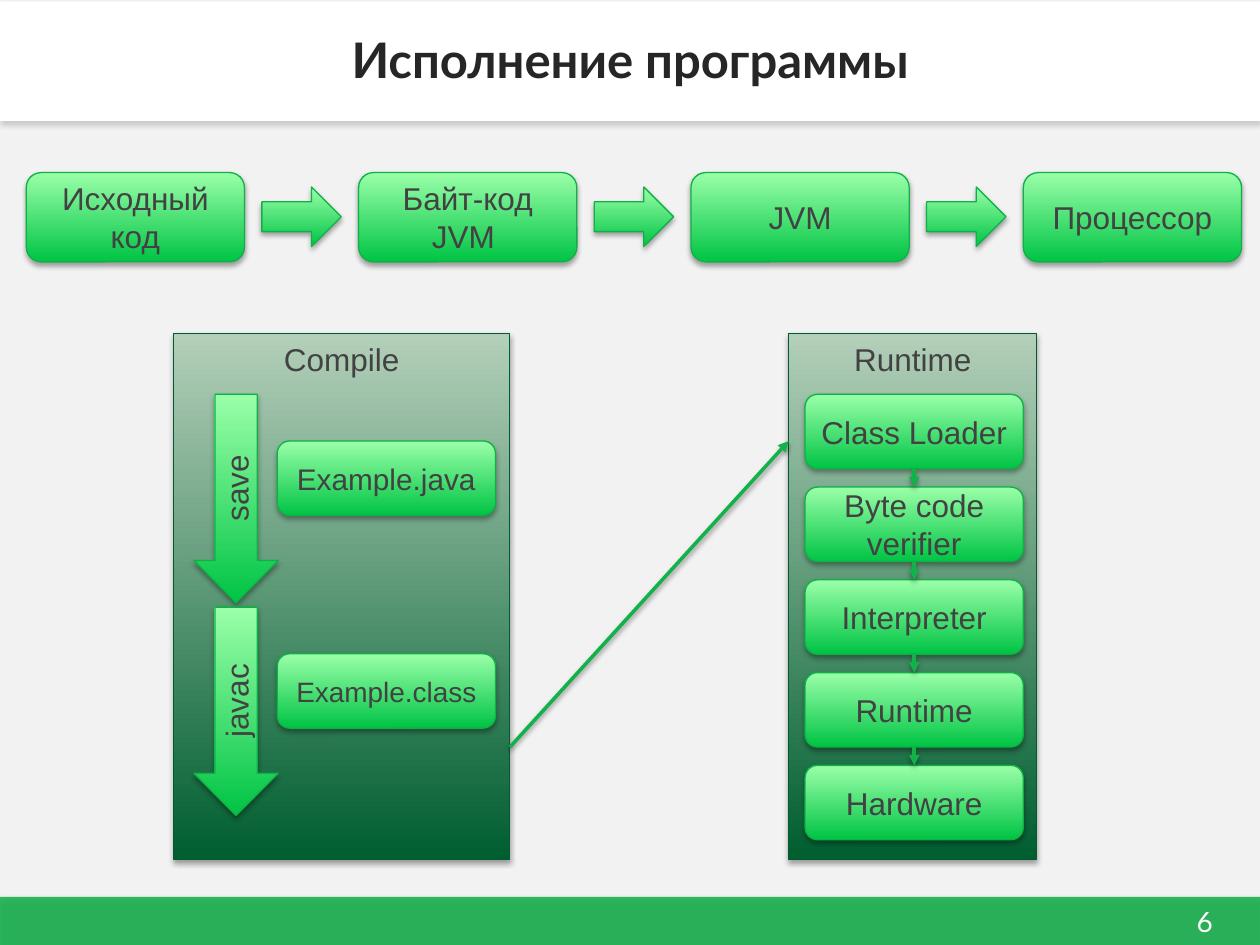
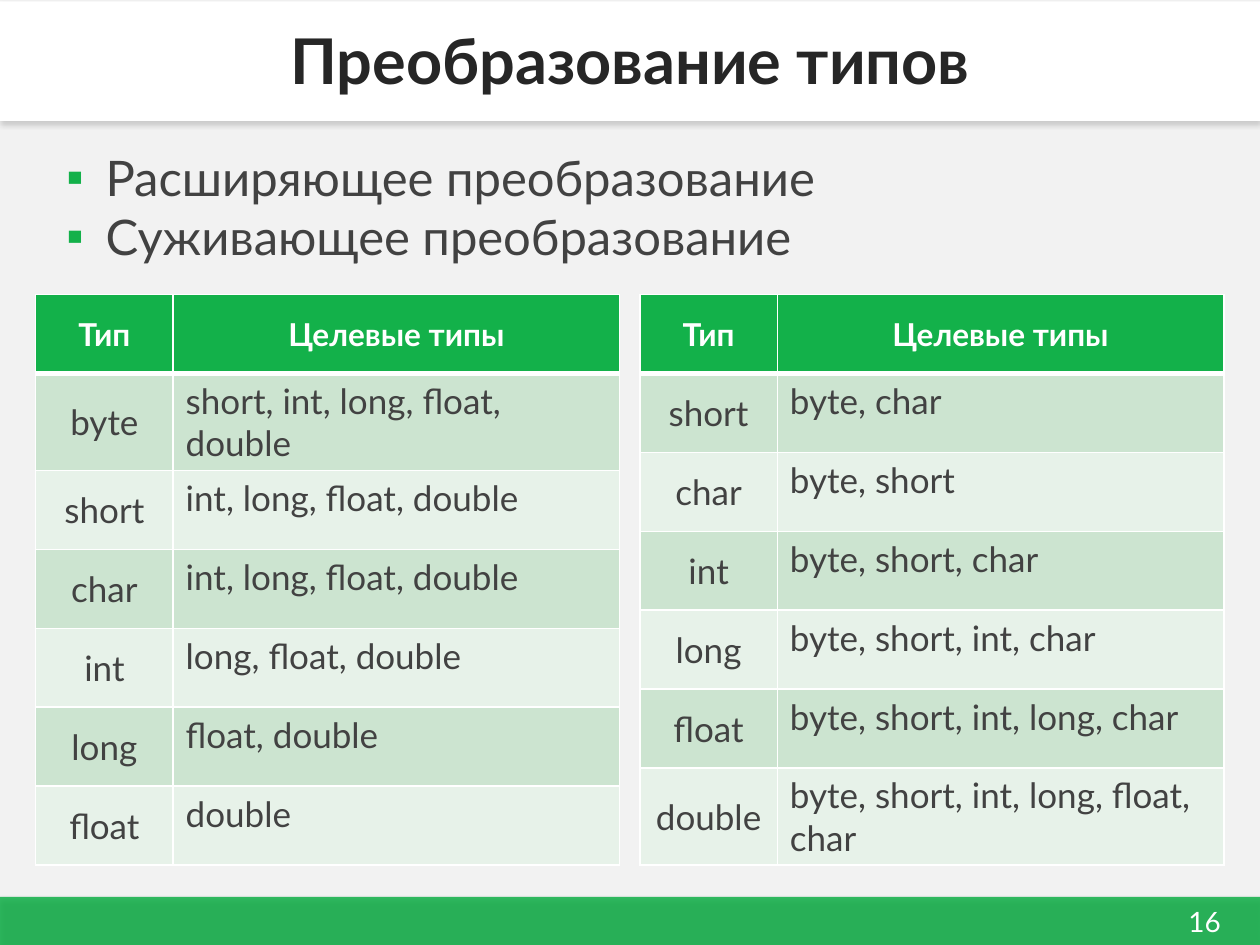
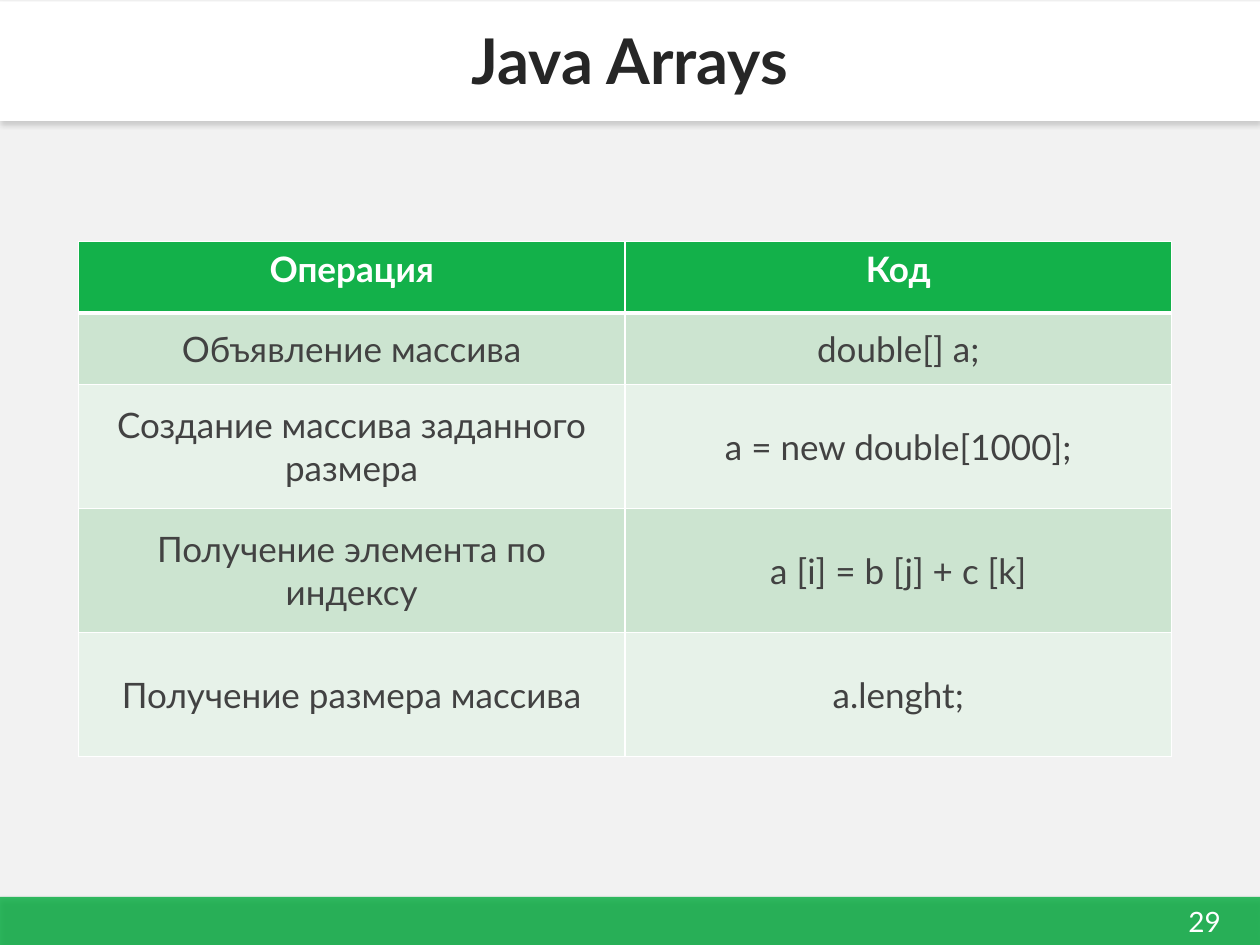
from pptx import Presentation
from pptx import util as u
from pptx.dml import color
from pptx.enum import shapes, text
from pptx.oxml import parse_xml
from pptx.oxml import ns

GREEN, WHITE, INK, TITLE_INK = "13B14A", "FFFFFF", "424242", "262626"
BUTTON = {"stops": ("00C444", "9AFFA9"), "edge": "0FB147"}
PANEL = {"stops": ("005E30", "B3CFB9"), "edge": "005C2F"}
ROW_FILLS = ("E7F2E9", "CCE4D0")
MIDDLE, TOP = text.MSO_ANCHOR.MIDDLE, text.MSO_ANCHOR.TOP
CENTER, LEFT = text.PP_ALIGN.CENTER, text.PP_ALIGN.LEFT
KIND = shapes.MSO_SHAPE


def rgb(value):
    return color.RGBColor.from_string(value)


def apply(target, values):
    for name, value in values.items():
        setattr(target, name, value)


def xml(tag, attributes="", inner=""):
    return parse_xml(f"<a:{tag} {ns.nsdecls('a')} {attributes}>{inner}</a:{tag}>")


def solid(value):
    return f'<a:solidFill><a:srgbClr val="{value}"/></a:solidFill>'


class Deck:
    def __init__(self):
        self.prs = Presentation()
        apply(self.prs, {"slide_width": u.Cm(25.4), "slide_height": u.Cm(19.05)})
        backdrop = self.prs.slide_master.background.fill
        backdrop.solid()
        backdrop.fore_color.rgb = rgb("F2F2F2")
        self.slide = None

    def start(self, heading, number, size=36, layout=5):
        self.slide = self.prs.slides.add_slide(self.prs.slide_layouts[layout])
        title = self.slide.shapes.title
        self.place(title, 0, -0.03, 25.4, 2.44)
        footer = self.band(18.08, 0.97, GREEN, "000000")
        footer_colour = footer.element.spPr.find(ns.qn("a:solidFill"))[0]
        footer_colour.append(xml("alpha", 'val="86000"'))
        header = self.band(0.03, 2.41, WHITE, "808080")
        for band in (footer, header):
            title.element.addprevious(band.element)
        self.fill_text(title.text_frame, heading, size, TITLE_INK, "Lato", bold=True)
        page = self.slide.shapes.add_textbox(*map(u.Cm, (23.42, 18.11, 1.73, 0.94)))
        self.fill_text(page.text_frame, number, 16, WHITE, "Lato")

    def place(self, shape, *box):
        apply(shape, dict(zip(("left", "top", "width", "height"), map(u.Cm, box))))

    def fill_text(self, frame, content, size, ink=INK, font="Arial", bold=False,
                  align=CENTER, anchor=MIDDLE):
        apply(frame, {"text": content, "word_wrap": True, "vertical_anchor": anchor,
                      "auto_size": text.MSO_AUTO_SIZE.NONE})
        for paragraph in frame.paragraphs:
            self.style(paragraph, size, ink, font, bold, align)

    def style(self, paragraph, size, ink, font, bold, align):
        apply(paragraph, {"alignment": align, "space_before": u.Pt(0)})
        for run in paragraph.runs:
            apply(run.font, {"size": u.Pt(size), "name": font, "bold": bold})
            run.font.color.rgb = rgb(ink)

    def shade(self, effects, tint="000000", alpha=35, distance=1.8):
        effects.append(xml(
            "outerShdw",
            f'blurRad="{u.Pt(3.1)}" dist="{u.Pt(distance)}" dir="5400000" rotWithShape="0"',
            f'<a:srgbClr val="{tint}"><a:alpha val="{alpha * 1000}"/></a:srgbClr>'))

    def shape(self, kind, box, shadow="000000"):
        shape = self.slide.shapes.add_shape(kind, *map(u.Cm, box))
        shape.shadow.inherit = False
        self.shade(shape.element.spPr.find(ns.qn("a:effectLst")), shadow)
        return shape

    def band(self, top, height, fill, shadow):
        band = self.shape(KIND.RECTANGLE, (0, top, 25.4, height), shadow)
        band.fill.solid()
        band.fill.fore_color.rgb = rgb(fill)
        band.line.fill.background()
        return band

    def block(self, kind, box, label="", size=18, look=BUTTON, anchor=MIDDLE, upward=False):
        block = self.shape(kind, box)
        block.fill.gradient()
        block.fill.gradient_angle = 90
        for stop, value in zip(block.fill.gradient_stops, look["stops"]):
            stop.color.rgb = rgb(value)
        block.line.color.rgb = rgb(look["edge"])
        block.line.width = u.Pt(0.75)
        if label:
            self.fill_text(block.text_frame, label, size, anchor=anchor)
        if upward:
            block.text_frame._txBody.bodyPr.set("vert", "vert270")
        return block

    def arrow(self, start=(0, 0), end=(0, 0), joined=None):
        arrow = self.slide.shapes.add_connector(
            shapes.MSO_CONNECTOR.STRAIGHT, *map(u.Cm, (*start, *end)))
        if joined:
            arrow.begin_connect(joined[0], 2)
            arrow.end_connect(joined[1], 0)
        arrow.line.color.rgb = rgb(GREEN)
        arrow.line.width = u.Pt(2)
        arrow.line._get_or_add_ln().append(xml("tailEnd", 'type="triangle"'))
        effects = xml("effectLst")
        self.shade(effects, alpha=38, distance=1.6)
        arrow.element.spPr.append(effects)

    def bullets(self, items, *box):
        body = self.slide.placeholders[1]
        self.place(body, *box)
        apply(body.text_frame, dict.fromkeys(
            ("margin_left", "margin_top", "margin_right", "margin_bottom"), 0))
        self.fill_text(body.text_frame, "\n".join(items), 28, font="Lato",
                       align=LEFT, anchor=TOP)
        for paragraph in body.text_frame.paragraphs:
            properties = paragraph._p.get_or_add_pPr()
            properties.set("marL", str(u.Cm(0.94)))
            properties.set("indent", str(u.Cm(-0.79)))
            properties.append(xml("buClr", inner=f'<a:srgbClr val="{GREEN}"/>'))
            properties.append(xml("buFont", 'typeface="Arial"'))
            properties.append(xml("buChar", 'char="▪"'))

    def table(self, left, top, widths, heights, rows, head_size=20,
              head_anchor=MIDDLE, last_align=CENTER, last_anchor=MIDDLE):
        grid = self.slide.shapes.add_table(
            len(rows), len(widths),
            *map(u.Cm, (left, top, sum(widths), sum(heights)))).table
        for column, width in zip(grid.columns, widths):
            column.width = u.Cm(width)
        for r, (row, height) in enumerate(zip(rows, heights)):
            grid.rows[r].height = u.Cm(height)
            for c, content in enumerate(row):
                cell = grid.cell(r, c)
                if r == 0:
                    fill, look = GREEN, dict(size=head_size, ink=WHITE, bold=True, align=CENTER)
                    anchor = head_anchor
                else:
                    fill = ROW_FILLS[r % 2]
                    look = dict(size=20, ink=INK, bold=False,
                                align=last_align if c else CENTER)
                    anchor = last_anchor if c else MIDDLE
                apply(cell, {"text": content, "vertical_anchor": anchor})
                self.style(cell.text_frame.paragraphs[0], font="Lato", **look)
                cell.fill.solid()
                cell.fill.fore_color.rgb = rgb(fill)
                self.borders(cell, r)

    def borders(self, cell, row):
        properties = cell._tc.get_or_add_tcPr()
        for place, side in enumerate("LRTB"):
            weight = 3 if (row, side) in ((0, "B"), (1, "T")) else 1
            properties.insert(place, xml(f"ln{side}", f'w="{u.Pt(weight)}"', solid(WHITE)))


def execution(deck):
    deck.start("Исполнение программы", "6", size=28)
    deck.block(KIND.RECTANGLE, (15.9, 6.73, 5, 10.6), "Runtime", look=PANEL, anchor=TOP)
    flow = ("Исходный код", "Байт-код JVM ", "JVM", "Процессор")
    for i, stage in enumerate(flow):
        deck.block(KIND.ROUNDED_RECTANGLE, (0.53 + 6.7 * i, 3.48, 4.4, 1.8), stage)
        if i < len(flow) - 1:
            deck.block(KIND.RIGHT_ARROW, (5.28 + 6.7 * i, 3.77, 1.6, 1.2))

    steps = [deck.block(KIND.ROUNDED_RECTANGLE, (16.23, 7.95 + 1.87 * i, 4.4, 1.5), step)
             for i, step in enumerate(("Class Loader", "Byte code verifier", "Interpreter",
                                       "Runtime", "Hardware"))]
    for pair in zip(steps, steps[1:]):
        deck.arrow(joined=pair)

    deck.block(KIND.RECTANGLE, (3.5, 6.73, 6.78, 10.6), "Compile", look=PANEL, anchor=TOP)
    phases = (("save", "Example.java", 17), ("javac", "Example.class", 16))
    for i, (action, result, size) in enumerate(phases):
        drop = 4.29 * i
        deck.block(KIND.ROUNDED_RECTANGLE, (5.59, 8.89 + drop, 4.4, 1.5), result, size)
        deck.block(KIND.DOWN_ARROW, (3.91, 7.95 + drop, 1.7, 4.2), action, upward=True)
    deck.arrow((10.28, 15.06), (15.9, 8.89))


def conversions(deck):
    deck.start("Преобразование типов", "16", layout=1)
    deck.bullets(("Расширяющее преобразование", "Суживающее преобразование"),
                 1.19, 2.97, 22.86, 2.97)
    widening = [("byte", "short, int, long, float, double"),
                ("short", "int, long, float, double"),
                ("char", "int, long, float, double"),
                ("int", "long, float, double"),
                ("long", "float, double"),
                ("float", "double")]
    narrowing = [("short", "byte, char"),
                 ("char", "byte, short"),
                 ("int", "byte, short, char"),
                 ("long", "byte, short, int, char"),
                 ("float", "byte, short, int, long, char"),
                 ("double", "byte, short, int, long, float, char")]
    for left, targets in ((0.72, widening), (12.9, narrowing)):
        deck.table(left, 5.94, (2.77, 9), [1.59] * 7, [("Тип", "Целевые типы")] + targets,
                   head_size=18, last_align=LEFT, last_anchor=TOP)


def arrays(deck):
    deck.start("Java Arrays", "29")
    deck.table(1.58, 4.87, (11.02, 11.02), (1.44, 1.44, 2.5, 2.5, 2.5),
               [("Операция", "Код"),
                ("Объявление массива", "double[] a;"),
                ("Создание массива заданного размера", "a = new double[1000];"),
                ("Получение элемента по индексу", "a [i] = b [j] + c [k]"),
                ("Получение размера массива", "a.lenght;")],
               head_anchor=TOP)


def main():
    deck = Deck()
    for build in (execution, conversions, arrays):
        build(deck)
    deck.prs.save("out.pptx")


if __name__ == "__main__":
    main()
